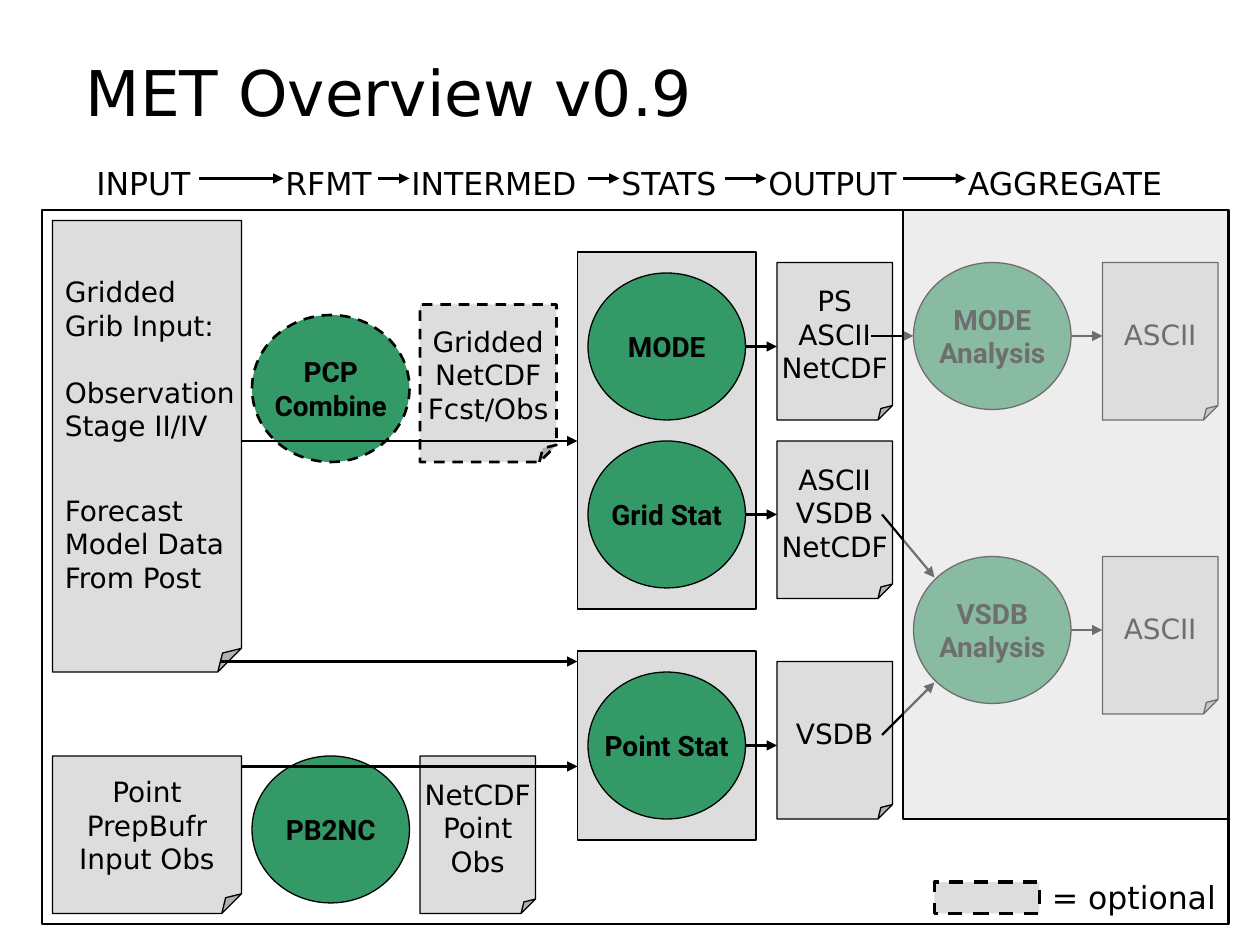
from lxml.etree import SubElement
from pptx import Presentation
from pptx.dml.color import RGBColor
from pptx.enum.dml import MSO_LINE
from pptx.enum.shapes import MSO_CONNECTOR, MSO_SHAPE as SHAPE
from pptx.enum.text import MSO_ANCHOR as ANCHOR, PP_ALIGN as ALIGN
from pptx.oxml.ns import qn
from pptx.util import Pt

PX = 7620
COLORS = {"ink": "000000", "paper": "DDDDDD", "tool": "339966"}
BODY_FONT = "DejaVu Sans"
TOOL_FONT = "Roboto"
TOOL_SIZE = (150, 140)
NOTE_SIZE = (110, 150)

HEADINGS = [
    ("INPUT", 80, 120),
    ("RFMT", 260, 110),
    ("INTERMED", 380, 190),
    ("STATS", 580, 130),
    ("OUTPUT", 720, 150),
    ("AGGREGATE", 910, 240),
]
HEADING_ARROWS = [(190, 270), (360, 390), (560, 590), (690, 730), (860, 920)]

PANELS = [(550, 240, 170, 340), (550, 620, 170, 180)]

NOTES = [
    ("Point\nPrepBufr\nInput Obs", 50, 720, 180, 150),
    ("NetCDF\nPoint\nObs", 400, 720, *NOTE_SIZE),
    ("PS\nASCII\nNetCDF", 740, 250, *NOTE_SIZE),
    ("ASCII\nVSDB\nNetCDF", 740, 420, *NOTE_SIZE),
    ("VSDB", 740, 630, *NOTE_SIZE),
    ("ASCII", 1050, 250, *NOTE_SIZE),
    ("ASCII", 1050, 530, *NOTE_SIZE),
]

TOOLS = [
    ("PB2NC", 240, 720),
    ("MODE", 560, 260),
    ("Grid Stat", 560, 420),
    ("Point Stat", 560, 640),
    ("MODE\nAnalysis", 870, 250),
    ("VSDB\nAnalysis", 870, 530),
]

FLOWS = [
    (230, 420, 550, 420),
    (210, 630, 550, 630),
    (230, 730, 550, 730),
    (710, 330, 740, 330),
    (710, 490, 740, 490),
    (710, 710, 740, 710),
    (830, 320, 870, 320),
    (840, 490, 890, 550),
    (840, 700, 890, 650),
    (1020, 320, 1050, 320),
    (1020, 600, 1050, 600),
]


def color(name):
    return RGBColor.from_string(COLORS[name])


def emu(*lengths):
    return [length * PX for length in lengths]


def write(box, text, size=16, font=BODY_FONT, bold=False, align=ALIGN.LEFT,
          anchor=ANCHOR.MIDDLE, wrap=False, gaps=None):
    frame = box.text_frame
    frame.word_wrap = wrap
    frame.vertical_anchor = anchor
    for index, line in enumerate(text.split("\n")):
        para = frame.add_paragraph() if index else frame.paragraphs[0]
        para.alignment = align
        if gaps and line in gaps:
            para.space_before = Pt(gaps[line])
        span = para.add_run()
        span.text = line
        span.font.size = Pt(size)
        span.font.name = font
        span.font.bold = bold
        span.font.color.rgb = color("ink")


def add_label(page, text, left, top, width, height, **style):
    box = page.shapes.add_textbox(*emu(left, top, width, height))
    write(box, text, wrap=True, **style)


def add_block(page, kind, bounds, fill="paper", line=0.75, dashed=False):
    block = page.shapes.add_shape(kind, *emu(*bounds))
    block.shadow.inherit = False
    if fill:
        block.fill.solid()
        block.fill.fore_color.rgb = color(fill)
    else:
        block.fill.background()
    block.line.color.rgb = color("ink")
    block.line.width = Pt(line)
    if dashed:
        block.line.dash_style = MSO_LINE.DASH
    return block


def add_note(page, text, *bounds, align=ALIGN.CENTER, gaps=None, **outline):
    note = add_block(page, SHAPE.FOLDED_CORNER, bounds, **outline)
    guides = note._element.spPr.find(qn("a:prstGeom")).get_or_add_avLst()
    SubElement(guides, qn("a:gd"), name="adj", fmla="val 12500")
    write(note, text, align=align, gaps=gaps)


def add_tool(page, text, left, top, **outline):
    tool = add_block(page, SHAPE.OVAL, (left, top, *TOOL_SIZE), fill="tool", **outline)
    write(tool, text, font=TOOL_FONT, bold=True, align=ALIGN.CENTER)


def add_arrow(page, *ends):
    arrow = page.shapes.add_connector(MSO_CONNECTOR.STRAIGHT, *emu(*ends))
    arrow.line.color.rgb = color("ink")
    arrow.line.width = Pt(1.25)
    SubElement(arrow.line._get_or_add_ln(), qn("a:tailEnd"), type="triangle")
    SubElement(arrow._element.spPr, qn("a:effectLst"))


def add_veil(page, *bounds):
    veil = add_block(page, SHAPE.RECTANGLE, bounds, line=1.25)
    tint = veil._element.spPr.find(qn("a:solidFill"))[0]
    SubElement(tint, qn("a:alpha"), val="50000")


def main():
    deck = Presentation()
    deck.slide_width, deck.slide_height = emu(1200, 900)
    page = deck.slides.add_slide(deck.slide_layouts[6])

    add_label(page, "MET Overview v0.9", 70, 19, 1050, 110, size=36, anchor=ANCHOR.BOTTOM)
    add_block(page, SHAPE.RECTANGLE, (40, 200, 1130, 680), fill=None, line=1.5)
    for text, left, width in HEADINGS:
        add_label(page, text, left, 150, width, 48, size=18, anchor=ANCHOR.TOP)

    for bounds in PANELS:
        add_block(page, SHAPE.RECTANGLE, bounds)
    add_note(page, "Gridded\nGrib Input:\nObservation\nStage II/IV\n"
             "Forecast\nModel Data\nFrom Post", 50, 210, 180, 430,
             align=ALIGN.LEFT, gaps={"Observation": 19, "Forecast": 29})
    for note in NOTES:
        add_note(page, *note)
    add_note(page, "Gridded\nNetCDF\nFcst/Obs", 400, 290, 130, 150, line=1.5, dashed=True)
    for tool in TOOLS:
        add_tool(page, *tool)
    add_tool(page, "PCP\nCombine", 240, 300, line=1.5, dashed=True)

    add_block(page, SHAPE.RECTANGLE, (890, 840, 100, 30), line=2, dashed=True)
    add_label(page, "= optional", 990, 830, 180, 48, size=18, anchor=ANCHOR.TOP)

    for start, end in HEADING_ARROWS:
        add_arrow(page, start, 170, end, 170)
    for flow in FLOWS:
        add_arrow(page, *flow)
    add_veil(page, 860, 200, 310, 580)

    deck.save("out.pptx")


if __name__ == "__main__":
    main()
